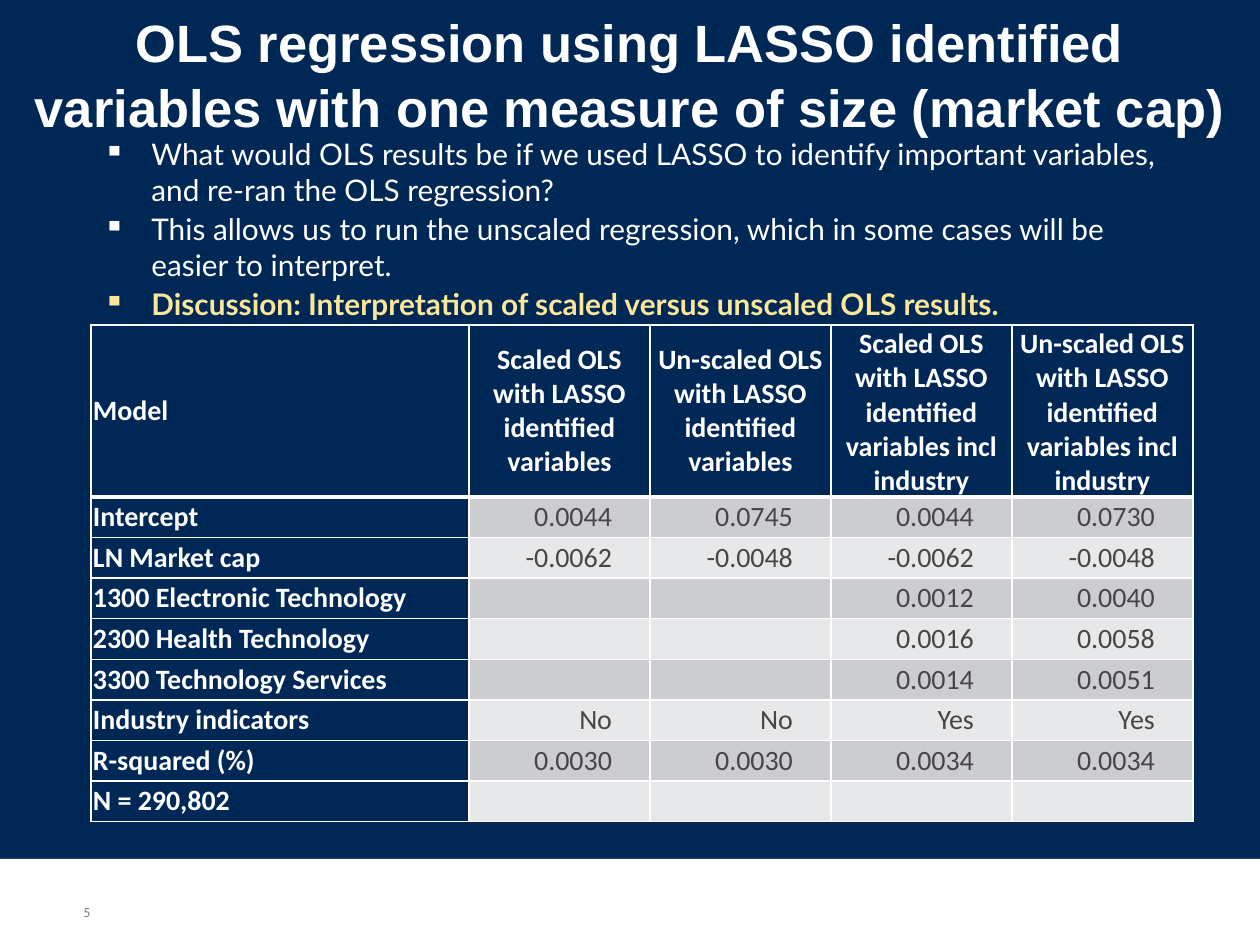
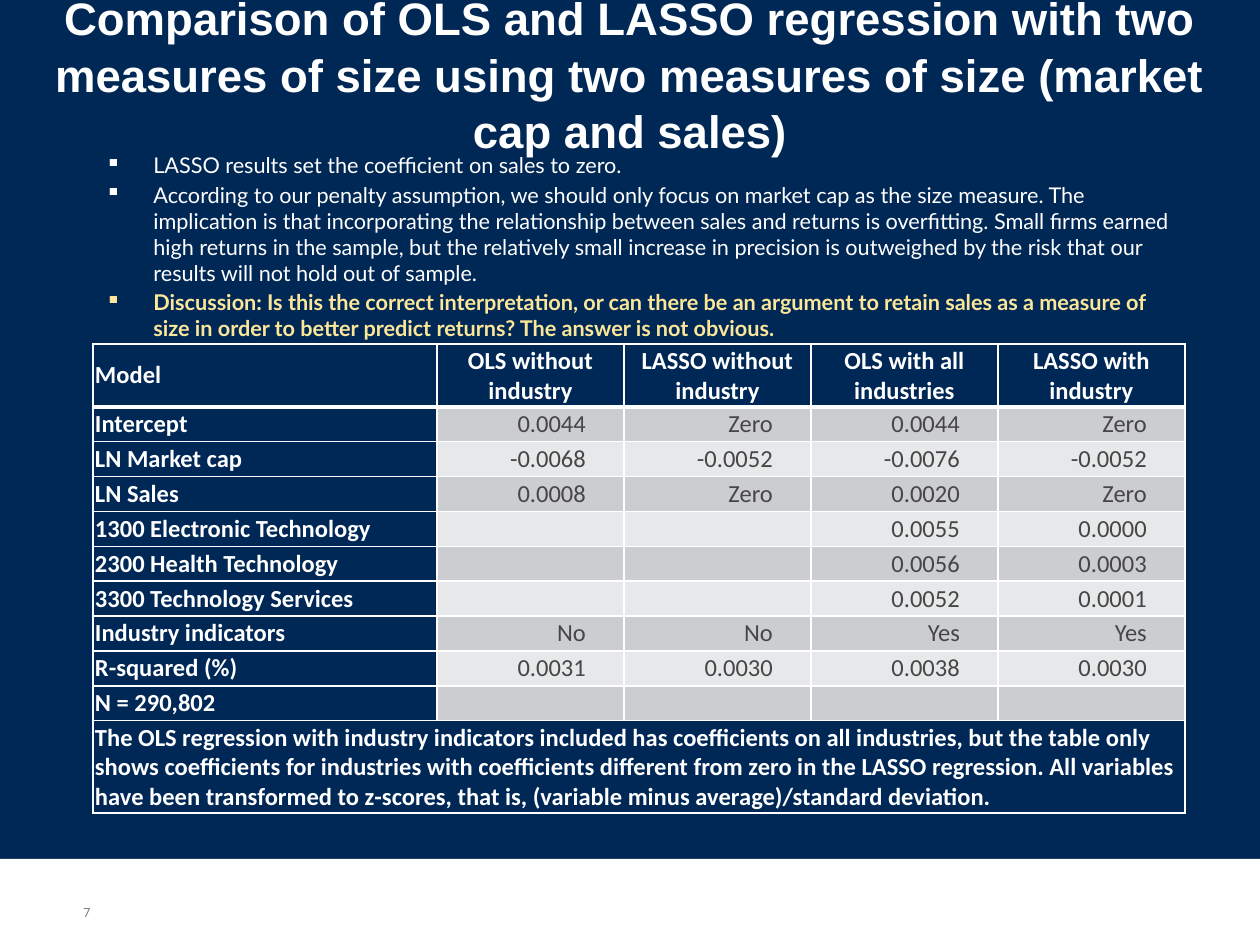
"""Build two slides comparing OLS and LASSO regression results."""
from lxml.etree import SubElement
from pptx import Presentation
from pptx.dml.color import RGBColor
from pptx.enum.dml import MSO_PATTERN as Pattern
from pptx.enum.shapes import MSO_SHAPE as Shape
from pptx.enum.text import MSO_ANCHOR as Anchor, PP_ALIGN as Align
from pptx.oxml import parse_xml
from pptx.oxml.ns import nsdecls, qn
from pptx.util import Pt

NAVY = RGBColor(0x00, 0x28, 0x56)
NAVY_STRIPE = RGBColor(0x00, 0x28, 0x50)
WHITE = RGBColor(0xFF, 0xFF, 0xFF)
GRAY = RGBColor(0x80, 0x80, 0x80)
CHARCOAL = RGBColor(0x46, 0x46, 0x46)
GOLD = RGBColor(0xFB, 0xE6, 0x99)
BANDS = (RGBColor(0xCC, 0xCD, 0xD1), RGBColor(0xE7, 0xE8, 0xE9))
EMU_PER_INCH, PX_PER_INCH = 914400, 126
PAGE_WIDTH, PAGE_HEIGHT, FOOTER_TOP = 1260, 945, 859
BULLET_INDENT = 48
CELL_INSET, NUMBER_INSET = 2, 38


def px(length):
    return round(length * EMU_PER_INCH / PX_PER_INCH)


def write(para, text, size, font="Calibri", color=WHITE, bold=False, align=Align.LEFT):
    para.alignment = align
    span = para.add_run()
    span.text = text
    span.font.size = Pt(size)
    span.font.name = font
    span.font.bold = bold
    span.font.color.rgb = color


def set_insets(target, left, top, right, bottom):
    target.margin_left, target.margin_top = px(left), px(top)
    target.margin_right, target.margin_bottom = px(right), px(bottom)


def set_borders(cell, top=1, bottom=1):
    widths = {"lnL": 1, "lnR": 1, "lnT": top, "lnB": bottom}
    properties = cell._tc.get_or_add_tcPr()
    for index, (side, width) in enumerate(widths.items()):
        properties.insert(index, parse_xml(
            f'<a:{side} {nsdecls("a")} w="{Pt(width)}"><a:solidFill>'
            f'<a:srgbClr val="{WHITE}"/></a:solidFill></a:{side}>'))


class ResultsDeck:
    def __init__(self):
        self.deck = Presentation()
        self.deck.slide_width, self.deck.slide_height = px(PAGE_WIDTH), px(PAGE_HEIGHT)
        self.page = None

    def add_page(self, number):
        self.page = self.deck.slides.add_slide(self.deck.slide_layouts[6])
        fill = self.page.background.fill
        fill.patterned()
        fill.pattern = Pattern.WIDE_UPWARD_DIAGONAL
        fill.fore_color.rgb, fill.back_color.rgb = NAVY_STRIPE, NAVY
        band = self.page.shapes.add_shape(
            Shape.RECTANGLE, 0, px(FOOTER_TOP), px(PAGE_WIDTH), px(PAGE_HEIGHT - FOOTER_TOP))
        band.shadow.inherit = False
        band.fill.solid()
        band.fill.fore_color.rgb = WHITE
        band.line.fill.background()
        frame = self.add_frame(71, 882, 45, 44, Anchor.BOTTOM)
        write(frame.paragraphs[0], str(number), 8, color=GRAY)

    def add_frame(self, left, top, width, height, anchor=Anchor.TOP):
        box = self.page.shapes.add_textbox(px(left), px(top), px(width), px(height))
        box.text_frame.word_wrap = True
        box.text_frame.vertical_anchor = anchor
        return box.text_frame

    def add_title(self, text, size, top, height):
        frame = self.add_frame(13, top, 1234, height, Anchor.MIDDLE)
        set_insets(frame, 9, 9, 9, 9)
        para = frame.paragraphs[0]
        para.line_spacing = 1.04
        write(para, text, size, font="Arial", bold=True, align=Align.CENTER)

    def add_bullets(self, points, discussion, size, left, top, width, height):
        frame = self.add_frame(left, top, width, height)
        for index, text in enumerate([*points, discussion]):
            para = frame.add_paragraph() if index else frame.paragraphs[0]
            para.space_after = Pt(2)
            is_discussion = text == discussion
            write(para, text, size, font="Lato", bold=is_discussion,
                  color=GOLD if is_discussion else WHITE)
            properties = para._p.get_or_add_pPr()
            properties.set("marL", str(px(BULLET_INDENT)))
            properties.set("indent", str(-px(BULLET_INDENT)))
            SubElement(properties, qn("a:buChar"), char="▪")

    def add_cell(self, cell, text, size, fill, top=1, bottom=1,
                 right=CELL_INSET, **style):
        cell.fill.solid()
        cell.fill.fore_color.rgb = fill
        cell.vertical_anchor = Anchor.MIDDLE
        set_insets(cell, CELL_INSET, CELL_INSET, right, CELL_INSET)
        set_borders(cell, top, bottom)
        para = cell.text_frame.paragraphs[0]
        if text:
            write(para, text, size, **style)
        else:
            SubElement(para._p, qn("a:endParaRPr"), sz=str(size * 100))

    def add_results(self, headings, results, size, left, top, label_width,
                    value_width, header_height, body_height, note=None, note_height=0):
        row_count = len(results) + 1 + bool(note)
        column_count = len(headings)
        width = label_width + value_width * (column_count - 1)
        height = header_height + body_height + note_height
        table = self.page.shapes.add_table(
            row_count, column_count, px(left), px(top), px(width), px(height)).table
        table.first_row = table.horz_banding = False
        for index, column in enumerate(table.columns):
            column.width = px(value_width if index else label_width)
        for row in table.rows:
            row.height = px(body_height / len(results))
        table.rows[0].height = px(header_height)
        for column, heading in enumerate(headings):
            self.add_cell(table.cell(0, column), heading, size, NAVY, bottom=3, bold=True,
                          align=Align.CENTER if column else Align.LEFT)
        for row, (label, *values) in enumerate(results, 1):
            rule = 3 if row == 1 else 1
            self.add_cell(table.cell(row, 0), label, size, NAVY, top=rule, bold=True)
            for column, value in enumerate(values, 1):
                self.add_cell(table.cell(row, column), value, size, BANDS[(row - 1) % 2],
                              top=rule, right=NUMBER_INSET, color=CHARCOAL,
                              align=Align.RIGHT)
        if note:
            last = row_count - 1
            table.rows[last].height = px(note_height)
            for column in range(column_count):
                self.add_cell(table.cell(last, column), "" if column else note,
                              size, NAVY, bold=True)
            table.cell(last, 0).merge(table.cell(last, column_count - 1))


def build_one_size_measure(slides):
    slides.add_page(5)
    slides.add_title(
        "OLS regression using LASSO identified variables with one measure of size (market cap)",
        size=30, top=0, height=146)
    slides.add_bullets(
        ["What would OLS results be if we used LASSO to identify important variables, "
         "and re-ran the OLS regression?",
         "This allows us to run the unscaled regression, which in some cases will be "
         "easier to interpret."],
        "Discussion: Interpretation of scaled versus unscaled OLS results.",
        size=17, left=91, top=130, width=1080, height=178)
    base = "OLS with LASSO identified variables"
    headings = ["Model"] + [f"{scale} {base}{suffix}" for suffix in ("", " incl industry")
                            for scale in ("Scaled", "Un-scaled")]
    results = [
        ("Intercept", "0.0044", "0.0745", "0.0044", "0.0730"),
        ("LN Market cap", "-0.0062", "-0.0048", "-0.0062", "-0.0048"),
        ("1300 Electronic Technology", "", "", "0.0012", "0.0040"),
        ("2300 Health Technology", "", "", "0.0016", "0.0058"),
        ("3300 Technology Services", "", "", "0.0014", "0.0051"),
        ("Industry indicators", "No", "No", "Yes", "Yes"),
        ("R-squared (%)", "0.0030", "0.0030", "0.0034", "0.0034"),
        ("N = 290,802", "", "", "", ""),
    ]
    slides.add_results(headings, results, size=16, left=91, top=325, label_width=378,
                       value_width=181, header_height=156, body_height=325)


def build_two_size_measures(slides):
    slides.add_page(7)
    slides.add_title(
        "Comparison of OLS and LASSO regression with two measures of size using two "
        "measures of size (market cap and sales)",
        size=26, top=9, height=128)
    slides.add_bullets(
        ["LASSO results set the coefficient on sales to zero.",
         "According to our penalty assumption, we should only focus on market cap as the "
         "size measure. The implication is that incorporating the relationship between "
         "sales and returns is overfitting. Small firms earned high returns in the sample, "
         "but the relatively small increase in precision is outweighed by the risk that "
         "our results will not hold out of sample."],
        "Discussion: Is this the correct interpretation, or can there be an argument to "
        "retain sales as a measure of size in order to better predict returns? The answer "
        "is not obvious.",
        size=12.4, left=93, top=146, width=1092, height=171)
    headings = ["Model", "OLS without industry", "LASSO without industry",
                "OLS with all industries", "LASSO with industry"]
    results = [
        ("Intercept", "0.0044", "Zero", "0.0044", "Zero"),
        ("LN Market cap", "-0.0068", "-0.0052", "-0.0076", "-0.0052"),
        ("LN Sales", "0.0008", "Zero", "0.0020", "Zero"),
        ("1300 Electronic Technology", "", "", "0.0055", "0.0000"),
        ("2300 Health Technology", "", "", "0.0056", "0.0003"),
        ("3300 Technology Services", "", "", "0.0052", "0.0001"),
        ("Industry indicators", "No", "No", "Yes", "Yes"),
        ("R-squared (%)", "0.0031", "0.0030", "0.0038", "0.0030"),
        ("N = 290,802", "", "", "", ""),
    ]
    note = ("The OLS regression with industry indicators included has coefficients on all "
            "industries, but the table only shows coefficients for industries with "
            "coefficients different from zero in the LASSO regression. All variables have "
            "been transformed to z-scores, that is, (variable minus average)/standard "
            "deviation.")
    slides.add_results(headings, results, size=14, left=93, top=344, label_width=344,
                       value_width=187, header_height=45, body_height=314,
                       note=note, note_height=89)


def main():
    slides = ResultsDeck()
    build_one_size_measure(slides)
    build_two_size_measures(slides)
    slides.deck.save("out.pptx")


if __name__ == "__main__":
    main()
